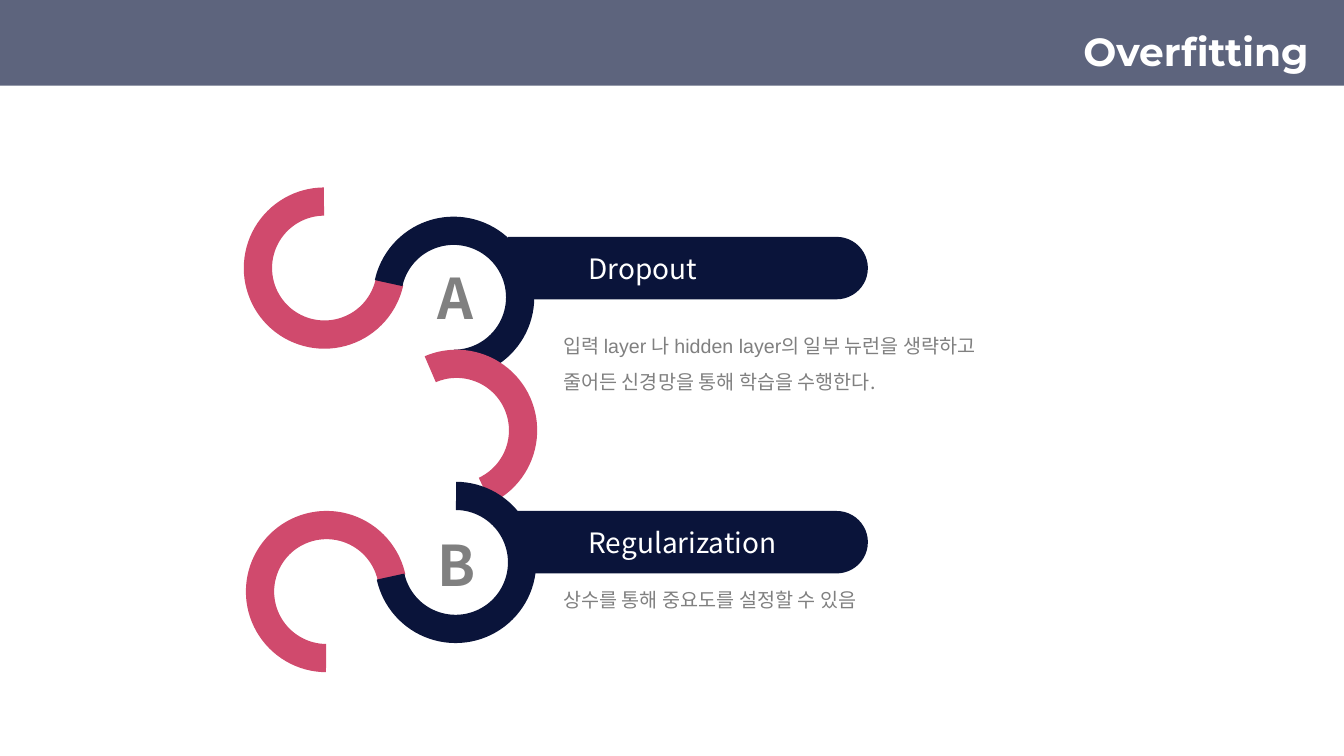
from lxml.etree import SubElement
from pptx import Presentation
from pptx.dml.color import RGBColor
from pptx.enum.shapes import MSO_SHAPE
from pptx.enum.text import MSO_ANCHOR, PP_ALIGN
from pptx.oxml.ns import qn
from pptx.util import Pt

COLORS = {"band": "5D647D", "navy": "0A143A", "rose": "D04A6D", "grey": "808080", "white": "FFFFFF"}
SANS = "Noto Sans CJK SC"
SLIDE_WIDTH, SLIDE_HEIGHT = 960, 540
RING_SIZE, RING_THICKNESS = 115.2, 20.16
DEGREE = 0.6


def add_filled_shape(slide, kind, box, color):
    """Add a flat preset shape without outline in the given box."""
    shape = slide.shapes.add_shape(kind, *map(Pt, box))
    shape.shadow.inherit = False
    shape.fill.solid()
    shape.fill.fore_color.rgb = RGBColor.from_string(COLORS[color])
    shape.line.fill.background()
    return shape


def add_run(paragraph, text, size, color, font=SANS, bold=False):
    """Append one formatted run to a paragraph."""
    run = paragraph.add_run()
    run.text = text
    run.font.size = Pt(size)
    run.font.bold = bold
    run.font.name = font
    run.font.color.rgb = RGBColor.from_string(COLORS[color])
    SubElement(run.font._element, qn("a:ea"), typeface=SANS)


def add_text(slide, box, lines, size, color, bold=False, wrap=False, spacing=1.0):
    """Add a text box with one paragraph for each (text, font) line."""
    frame = slide.shapes.add_textbox(*map(Pt, box)).text_frame
    frame.word_wrap = wrap
    for index, (text, font) in enumerate(lines):
        paragraph = frame.add_paragraph() if index else frame.paragraphs[0]
        paragraph.line_spacing = spacing
        add_run(paragraph, text, size, color, font, bold)


def add_header(slide, box):
    """Place the coloured band and the right-aligned title in it."""
    left, top, width, height = box
    band = add_filled_shape(slide, MSO_SHAPE.RECTANGLE, box, "band")
    title = slide.shapes.title
    title.element.addprevious(band.element)
    title.left, title.top = Pt(left + 114), Pt(top + 15.8)
    title.width, title.height = Pt(width - 132), Pt(height - 15.8)
    frame = title.text_frame
    frame.vertical_anchor = MSO_ANCHOR.MIDDLE
    paragraph = frame.paragraphs[0]
    paragraph.alignment = PP_ALIGN.RIGHT
    paragraph.line_spacing = 0.9
    add_run(paragraph, "Overfitting", 28, "white", "Montserrat", True)


def add_bar(slide, box, heading):
    """Draw a bar with a rounded right end and its heading."""
    left, top, width, height = box
    upright = (left + (width - height) / 2, top - (width - height) / 2, height, width)
    bar = add_filled_shape(slide, MSO_SHAPE.ROUND_2_SAME_RECTANGLE, upright, "navy")
    bar.adjustments[0], bar.adjustments[1] = 0.5, 0
    bar.rotation = 90
    heading_width = 96 if len(heading) < 10 else 153
    add_text(slide, (left + 50.4, top + 6.8, heading_width, 31.7), [(heading, SANS)], 20, "white")


def add_chain(slide, box):
    """Draw the winding chain of five ring segments."""
    left, top, _, _ = box
    segments = [
        (0, 0, "rose", 0, True, 90.4),
        (92.2, 20.9, "navy", 180, True, 90.4),
        (94.3, 115.9, "rose", 77.2, False, 169.5),
        (1.5, 231.1, "rose", 0, False, 90.4),
        (93.6, 210.2, "navy", 180, False, 90.4),
    ]
    for x, y, color, rotation, flipped, start in segments:
        ring_box = (left + x, top + y, RING_SIZE, RING_SIZE)
        ring = add_filled_shape(slide, MSO_SHAPE.BLOCK_ARC, ring_box, color)
        ring.adjustments[0] = start * DEGREE
        ring.adjustments[1] = 347.7 * DEGREE
        ring.adjustments[2] = RING_THICKNESS / RING_SIZE
        ring.rotation = rotation
        if flipped:
            ring.element.spPr.xfrm.set("flipV", "1")


def add_topic(slide, box, letter, letter_top, heading, text_top, lines):
    """Place a bar, its ring letter and its description in the box."""
    left, top, width, height = box
    add_bar(slide, (left, top, 257, 44.6), heading)
    add_text(slide, (left - 57.6, top + letter_top, 44, 55.4), [(letter, SANS)], 40, "grey", bold=True)
    text_box = (left + 32.4, top + text_top, width - 32.4, height - text_top)
    add_text(slide, text_box, lines, 14, "grey", wrap=True, spacing=1.5)


def build_slide(presentation):
    """Compose the overfitting slide."""
    slide = presentation.slides.add_slide(presentation.slide_layouts[5])
    add_header(slide, (0, 0, SLIDE_WIDTH, 61.2))
    add_topic(slide, (362.9, 169.2, 440, 116), "A", 15.8, "Dropout", 57.6, [
        ("입력 layer 나 hidden layer의 일부 뉴런을 생략하고", "Arial"),
        ("줄어든 신경망을 통해 학습을 수행한다.", SANS),
    ])
    add_topic(slide, (362.9, 365, 440, 75.6), "B", 10.1, "Regularization", 43.2, [
        ("상수를 통해 중요도를 설정할 수 있음", "Arial"),
    ])
    add_chain(slide, (174.2, 133.9, 209.5, 346.3))


def main():
    """Create and save the presentation."""
    presentation = Presentation()
    presentation.slide_width, presentation.slide_height = Pt(SLIDE_WIDTH), Pt(SLIDE_HEIGHT)
    build_slide(presentation)
    presentation.save("out.pptx")


if __name__ == "__main__":
    main()
